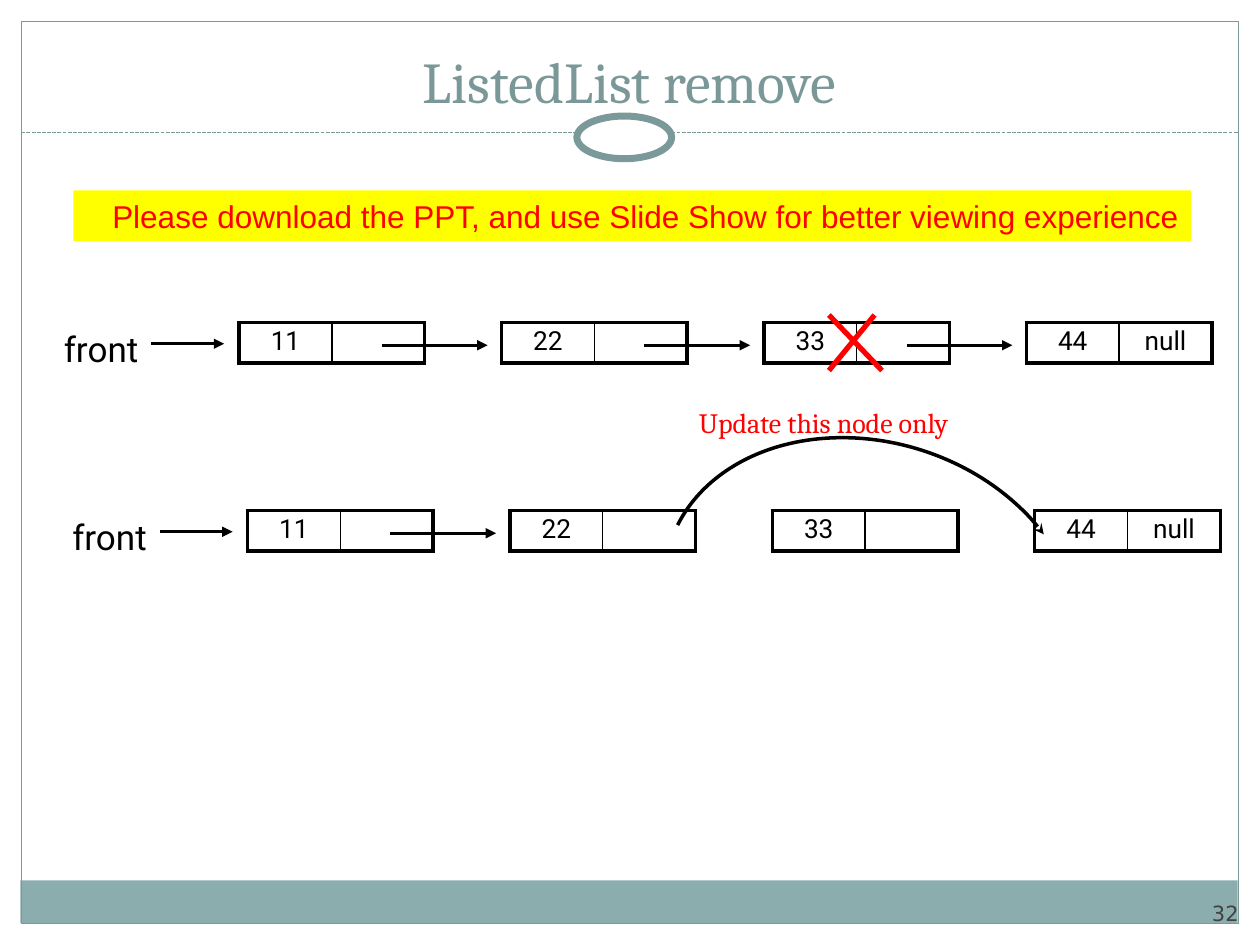
from lxml import etree
from pptx import Presentation
from pptx.dml.color import RGBColor
from pptx.enum.dml import MSO_LINE_DASH_STYLE as DASH
from pptx.enum.shapes import MSO_CONNECTOR, MSO_SHAPE
from pptx.enum.text import MSO_ANCHOR, PP_ALIGN
from pptx.oxml import parse_xml
from pptx.oxml.ns import nsdecls, qn
from pptx.util import Cm, Pt

COLORS = {name: RGBColor.from_string(value) for name, value in {
    "black": "000000", "red": "FF0000", "yellow": "FFFF00", "teal": "8CADAE",
    "frame": "7C999A", "title": "7B9899", "number": "424242", "white": "FFFFFF",
}.items()}

prs = Presentation()
prs.slide_width, prs.slide_height = Cm(25.4), Cm(19.05)
s = prs.slides.add_slide(prs.slide_layouts[5])


def write(tf, text, size, font, color, align, anchor=MSO_ANCHOR.TOP):
    tf.vertical_anchor = anchor
    p = tf.paragraphs[0]
    p.text = text
    p.alignment = align
    p.font.size, p.font.name, p.font.bold = Pt(size), font, False
    p.font.color.rgb = COLORS[color]


def add_line(x1, y1, x2, y2, color="black", width=1.5, arrow=False):
    line = s.shapes.add_connector(MSO_CONNECTOR.STRAIGHT, Cm(x1), Cm(y1), Cm(x2), Cm(y2))
    line.line.color.rgb = COLORS[color]
    line.line.width = Pt(width)
    if arrow:
        etree.SubElement(line.line._get_or_add_ln(), qn("a:tailEnd"), type="triangle")
    etree.SubElement(line._element.spPr, qn("a:effectLst"))
    return line


# Page frame: footer band, outline, dashed rule and ring
band = s.shapes.add_shape(MSO_SHAPE.RECTANGLE, Cm(0.41), Cm(17.75), Cm(24.54), Cm(0.86))
band.fill.solid()
band.fill.fore_color.rgb = COLORS["teal"]
band.line.fill.background()
band.shadow.inherit = False

frame = s.shapes.add_shape(MSO_SHAPE.RECTANGLE, Cm(0.43), Cm(0.43), Cm(24.54), Cm(18.19))
frame.fill.background()
frame.line.color.rgb = COLORS["frame"]
frame.line.width = Pt(0.75)
frame.shadow.inherit = False

add_line(0.43, 2.67, 24.97, 2.67, "frame", 0.75).line.dash_style = DASH.SQUARE_DOT

ring = s.shapes.add_shape(MSO_SHAPE.OVAL, Cm(11.63), Cm(2.34), Cm(1.91), Cm(0.86))
ring.fill.solid()
ring.fill.fore_color.rgb = COLORS["white"]
ring.line.color.rgb = COLORS["frame"]
ring.line.width = Pt(4)
ring.shadow.inherit = False

# Slide number
number = s.shapes.add_textbox(Cm(22.86), Cm(17.65), Cm(2.11), Cm(1.02))
tf = number.text_frame
tf.word_wrap = True
tf.margin_left = tf.margin_top = tf.margin_right = tf.margin_bottom = 0
write(tf, "32", 12, "DejaVu Sans", "number", PP_ALIGN.RIGHT, MSO_ANCHOR.BOTTOM)

# Title
title = s.shapes.title
title.left, title.top, title.width, title.height = Cm(0.84), Cm(0.64), Cm(23.7), Cm(1.8)
write(title.text_frame, "ListedList remove", 33, "Cambria", "title",
      PP_ALIGN.CENTER, MSO_ANCHOR.BOTTOM)

# Linked lists before and after the removal: x and y offset, number of next arrows
STEP, CELL_W, CELL_H = 5.29, 1.87, 0.82
NODES = [("11", ""), ("22", ""), ("33", ""), ("44", "null")]
for dx, dy, linked in [(0, 0, 3), (0.17, 3.79, 1)]:
    label = s.shapes.add_textbox(Cm(1.04 + dx), Cm(6.48 + dy), Cm(2), Cm(1.12))
    label.text_frame.word_wrap = True
    label.text_frame.margin_left = 0
    write(label.text_frame, "front", 20, "Roboto", "black", PP_ALIGN.RIGHT)
    add_line(3.05 + dx, 6.93 + dy, 4.52 + dx, 6.93 + dy, arrow=True)

    for i, node in enumerate(NODES):
        table = s.shapes.add_table(1, 2, Cm(4.82 + dx + i * STEP), Cm(6.5 + dy),
                                   Cm(2 * CELL_W), Cm(CELL_H)).table
        table.first_row = table.horz_banding = False
        table.rows[0].height = Cm(CELL_H)
        for col, text in enumerate(node):
            table.columns[col].width = Cm(CELL_W)
            cell = table.cell(0, col)
            cell.margin_top = cell.margin_bottom = Cm(0.08)
            if text:
                write(cell.text_frame, text, 15, "Roboto", "black", PP_ALIGN.CENTER)
            else:
                cell.margin_top = cell.margin_bottom = 0
                cell.text_frame.paragraphs[0].font.size = Pt(15)
            inner = "R" if col == 0 else "L"
            for side in "LRTB":
                width = Pt(1 if side == inner else 2.25)
                cell._tc.get_or_add_tcPr().append(parse_xml(
                    f'<a:ln{side} {nsdecls("a")} w="{width}"><a:solidFill>'
                    f'<a:srgbClr val="{COLORS["black"]}"/></a:solidFill></a:ln{side}>'))
            cell.fill.background()

    for i in range(linked):
        x = 7.7 + dx + i * STEP
        add_line(x, 6.96 + dy, x + 2.13, 6.96 + dy, arrow=True)

# Curved link from 22 past 33 to 44
arc = s.shapes.add_shape(MSO_SHAPE.ARC, Cm(14.22), Cm(8), Cm(6.68), Cm(8.51))
arc.adjustments[0], arc.adjustments[1] = 165.415, 29.644
arc.rotation = 287.5
arc.fill.background()
arc.line.color.rgb = COLORS["black"]
arc.line.width = Pt(2)
etree.SubElement(arc.line._get_or_add_ln(), qn("a:tailEnd"), type="stealth")
arc.shadow.inherit = False

# Red cross over the removed node
add_line(16.71, 6.35, 17.78, 7.47, "red", 3)
add_line(16.71, 7.47, 17.63, 6.35, "red", 3)

# Remark above the curved link
remark = s.shapes.add_textbox(Cm(13.84), Cm(8.05), Cm(6.07), Cm(0.94))
remark.text_frame.word_wrap = True
write(remark.text_frame, "Update this node only", 16, "Cambria", "red", PP_ALIGN.LEFT)

# Banner
banner = s.shapes.add_textbox(Cm(1.48), Cm(3.84), Cm(22.53), Cm(1.02))
banner.fill.solid()
banner.fill.fore_color.rgb = COLORS["yellow"]
banner.text_frame.word_wrap = True
write(banner.text_frame,
      "Please download the PPT, and use Slide Show for better viewing experience",
      18, "Arial", "red", PP_ALIGN.RIGHT)

prs.save("out.pptx")
